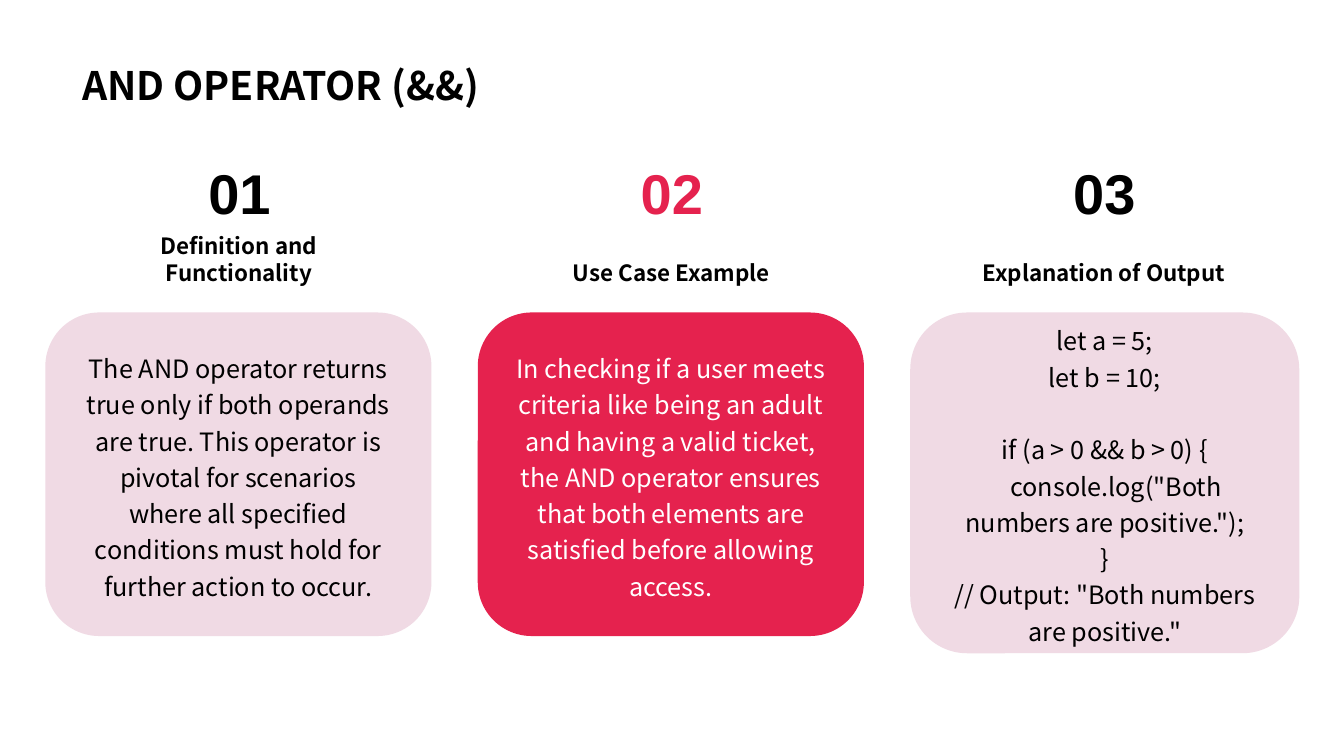
from lxml import etree
from pptx import Presentation
from pptx.dml.color import RGBColor
from pptx.enum import shapes, text
from pptx.oxml import ns
from pptx.util import Pt

BODY_FONT, NUMBER_FONT = "Noto Sans CJK SC", "Arial"
BLACK, WHITE, RED, PLUM = "000000", "FFFFFF", "E5224E", "9D074E"
COLUMN_STEP = 308.9
CODE_GAP = 26

COLUMNS = [
    ("Definition and Functionality", [
        "The AND operator returns true only if both operands are true. "
        "This operator is pivotal for scenarios where all specified "
        "conditions must hold for further action to occur."],
     (275.8, 231.1), False),
    ("Use Case Example", [
        "In checking if a user meets criteria like being an adult and having "
        "a valid ticket, the AND operator ensures that both elements are "
        "satisfied before allowing access."],
     (275.8, 231.1), True),
    ("Explanation of Output", [
        "let a = 5;",
        "let b = 10;",
        "",
        "if (a > 0 && b > 0) {",
        '    console.log("Both numbers are positive.");',
        "}",
        '// Output: "Both numbers are positive."'],
     (277.9, 243.4), False),
]


def color(value):
    return RGBColor.from_string(value)


class OperatorSlide:
    """Draws titles, numbers, headings and cards on one slide."""

    def __init__(self, slide):
        self.slide = slide

    def add_lines(self, frame, lines, size, ink, font=BODY_FONT, bold=False,
                  align=text.PP_ALIGN.CENTER, spacing=None):
        paragraph, gap = frame.paragraphs[0], 0
        for index, line in enumerate(lines):
            if not line:
                gap = CODE_GAP
                continue
            if index:
                paragraph = frame.add_paragraph()
            if gap:
                paragraph.space_before, gap = Pt(gap), 0
            paragraph.alignment = align
            if spacing:
                paragraph.line_spacing = spacing
            run = paragraph.add_run()
            run.text = line
            run.font.name, run.font.size, run.font.bold = font, Pt(size), bold
            run.font.color.rgb = color(ink)

    def label(self, box, line, size, ink=BLACK, wrap=True, grow=False, **style):
        frame = self.slide.shapes.add_textbox(*map(Pt, box)).text_frame
        frame.word_wrap = wrap
        frame.vertical_anchor = text.MSO_ANCHOR.BOTTOM
        if grow:
            frame.auto_size = text.MSO_AUTO_SIZE.SHAPE_TO_FIT_TEXT
        self.add_lines(frame, [line], size, ink, bold=True, **style)

    def card(self, box, lines, fill, ink, opacity=None):
        card = self.slide.shapes.add_shape(
            shapes.MSO_SHAPE.ROUNDED_RECTANGLE, *map(Pt, box))
        card.shadow.inherit = False
        card.line.fill.background()
        card.fill.solid()
        card.fill.fore_color.rgb = color(fill)
        if opacity:
            tint = card.element.spPr.find(ns.qn("a:solidFill"))[0]
            etree.SubElement(tint, ns.qn("a:alpha"), val=str(opacity * 1000))
        frame = card.text_frame
        frame.word_wrap = True
        frame.vertical_anchor = text.MSO_ANCHOR.MIDDLE
        frame.margin_left = frame.margin_right = Pt(14.4)
        frame.margin_top = frame.margin_bottom = Pt(3.6)
        self.add_lines(frame, lines, 18, ink, spacing=1.2)

    def column(self, index, heading, lines, card_size, accent):
        shift = index * COLUMN_STEP
        card_box = (32.4 + shift, 223.2, *card_size)
        if accent:
            self.card(card_box, lines, RED, WHITE)
        else:
            self.card(card_box, lines, PLUM, BLACK, opacity=15)
        self.label((141.1 + shift, 109.4, 59.8, 55.4), f"{index + 1:02}", 40,
                   RED if accent else BLACK, wrap=False, font=NUMBER_FONT)
        self.label((58.3 + shift, 181.4, 224.6, 26.6), heading, 16, grow=True)


def main():
    deck = Presentation()
    deck.slide_width, deck.slide_height = Pt(960), Pt(540)
    page = OperatorSlide(deck.slides.add_slide(deck.slide_layouts[6]))
    page.label((51.8, 10.1, 855.4, 70.6), "AND OPERATOR (&&)", 28,
               align=text.PP_ALIGN.LEFT)
    for index, column in enumerate(COLUMNS):
        page.column(index, *column)
    deck.save("out.pptx")


if __name__ == "__main__":
    main()
